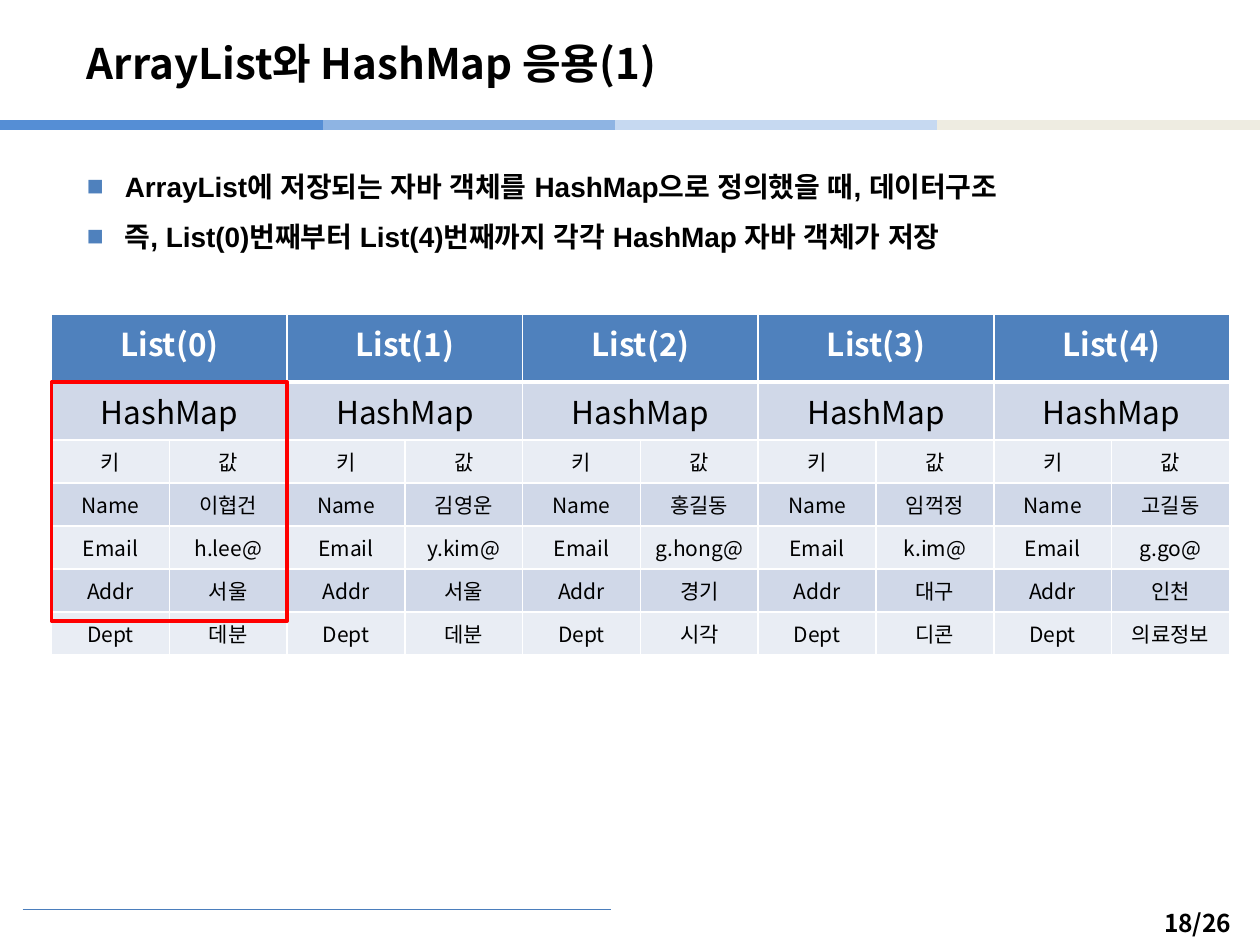
from lxml import etree
from pptx import Presentation
from pptx.dml.color import RGBColor
from pptx.enum.shapes import MSO_CONNECTOR, MSO_SHAPE
from pptx.enum.text import MSO_ANCHOR, MSO_AUTO_SIZE, PP_ALIGN
from pptx.oxml.ns import qn
from pptx.util import Pt

LINE = MSO_CONNECTOR.STRAIGHT
RECT = MSO_SHAPE.RECTANGLE
MID = MSO_ANCHOR.MIDDLE
TOP = MSO_ANCHOR.TOP
FIT = MSO_AUTO_SIZE.SHAPE_TO_FIT_TEXT
LEFT = PP_ALIGN.LEFT
MIDDLE = PP_ALIGN.CENTER

SANS = "Noto Sans CJK KR"
ARIAL = "Arial"
HEX = {
    "black": "000000", "white": "FFFFFF", "red": "FF0000",
    "head": "4F81BD", "dark": "D0D8E8", "light": "E9EDF4",
    "rule": "4B7EBC",
    "band1": "558ED5", "band2": "8EB4E3", "band3": "C6D9F1", "band4": "EEECE1",
}

TITLE = "ArrayList와 HashMap 응용(1)"
POINTS = [
    "ArrayList에 저장되는 자바 객체를 HashMap으로 정의했을 때, 데이터구조",
    "즉, List(0)번째부터 List(4)번째까지 각각 HashMap 자바 객체가 저장",
]
KEYS = ["키", "Name", "Email", "Addr", "Dept"]
MAPS = [
    ["값", "이협건", "h.lee@", "서울", "데분"],
    ["값", "김영운", "y.kim@", "서울", "데분"],
    ["값", "홍길동", "g.hong@", "경기", "시각"],
    ["값", "임꺽정", "k.im@", "대구", "디콘"],
    ["값", "고길동", "g.go@", "인천", "의료정보"],
]


def rgb(name):
    return RGBColor.from_string(HEX[name])


def style(para, size, face=SANS, color="black", bold=True):
    for run in para.runs:
        font = run.font
        font.size, font.bold, font.name = Pt(size), bold, face
        font.color.rgb = rgb(color)
        etree.SubElement(font._element, qn("a:ea"), typeface=face)


def place(shape, box):
    shape.left, shape.top, shape.width, shape.height = map(Pt, box)


def add_rule(slide, x, y, wide, color, width):
    rule = slide.shapes.add_connector(LINE, Pt(x), Pt(y), Pt(x + wide), Pt(y))
    rule.line.color.rgb = rgb(color)
    rule.line.width = Pt(width)
    etree.SubElement(rule._element.spPr, qn("a:effectLst"))


def add_band(slide, box):
    x, y, wide, high = box
    part = wide * 0.256
    for i, color in enumerate(["band4", "band3", "band2"]):
        add_rule(slide, x + wide - part * (i + 1), y, part, color, high)
    add_rule(slide, x, y, part, "band1", high)


def add_foot(slide, box):
    x, y, wide, high = box
    add_rule(slide, x, y + 4.3, 336.3, "rule", 0.75)
    page = slide.shapes.add_textbox(Pt(x + wide - 55.4), Pt(y), Pt(55.4), Pt(high))
    frame = page.text_frame
    frame.word_wrap = False
    frame.auto_size = FIT
    frame.text = "18/26"
    style(frame.paragraphs[0], 14)


def add_title(slide, box):
    title = slide.shapes.title
    place(title, box)
    frame = title.text_frame
    frame.text = TITLE
    frame.vertical_anchor = MID
    frame.paragraphs[0].alignment = LEFT
    style(frame.paragraphs[0], 24)


def add_bullet(para):
    props = para._p.get_or_add_pPr()
    props.set("marL", str(Pt(21.6)))
    props.set("indent", str(Pt(-21.6)))
    tint = etree.SubElement(props, qn("a:buClr"))
    etree.SubElement(tint, qn("a:srgbClr"), val=HEX["head"])
    etree.SubElement(props, qn("a:buFont"), typeface=ARIAL)
    etree.SubElement(props, qn("a:buChar"), char="■")


def add_list(slide, box):
    body = slide.placeholders[1]
    place(body, box)
    frame = body.text_frame
    frame.vertical_anchor = TOP
    for i, text in enumerate(POINTS):
        para = frame.add_paragraph() if i else frame.paragraphs[0]
        para.text = text
        add_bullet(para)
        para.line_spacing = 1.5
        para.space_before = Pt(0)
        style(para, 16, ARIAL)


def add_edges(cell, base):
    props = cell._tc.get_or_add_tcPr()
    for i, (side, width) in enumerate([("L", 1), ("R", 1), ("T", 1), ("B", base)]):
        edge = etree.Element(qn("a:ln" + side), w=str(Pt(width)))
        fill = etree.SubElement(edge, qn("a:solidFill"))
        etree.SubElement(fill, qn("a:srgbClr"), val=HEX["white"])
        props.insert(i, edge)


def fill_cell(cell, text, size, fill, color="black", bold=False, base=1):
    cell.fill.solid()
    cell.fill.fore_color.rgb = rgb(fill)
    add_edges(cell, base)
    para = cell.text_frame.paragraphs[0]
    para.text = text
    para.alignment = MIDDLE
    style(para, size, color=color, bold=bold)


def add_grid(slide, box):
    x, y, wide, high = box
    rows, cols = len(KEYS) + 2, len(MAPS) * 2
    grid = slide.shapes.add_table(rows, cols, *map(Pt, box)).table
    for col in grid.columns:
        col.width = Pt(wide / cols)
    heads = [38.9, 33.3]
    step = (high - sum(heads)) / len(KEYS)
    for row, tall in zip(grid.rows, heads + [step] * len(KEYS)):
        row.height = Pt(tall)
    for i, vals in enumerate(MAPS):
        a, b = i * 2, i * 2 + 1
        for r in range(2):
            grid.cell(r, a).merge(grid.cell(r, b))
        for c in (a, b):
            head = f"List({i})" if c == a else ""
            name = "HashMap" if c == a else ""
            fill_cell(grid.cell(0, c), head, 18, "head", "white", True, 3)
            fill_cell(grid.cell(1, c), name, 18, "dark")
        for r, pair in enumerate(zip(KEYS, vals)):
            fill = "dark" if r % 2 else "light"
            for c, text in zip((a, b), pair):
                fill_cell(grid.cell(r + 2, c), text, 12, fill)

    frame = slide.shapes.add_shape(
        RECT, Pt(x), Pt(y + heads[0]), Pt(wide / len(MAPS)), Pt(136.8))
    frame.shadow.inherit = False
    frame.fill.background()
    frame.line.color.rgb = rgb("red")
    frame.line.width = Pt(2)


def main():
    deck = Presentation()
    deck.slide_width, deck.slide_height = Pt(720), Pt(540)
    slide = deck.slides.add_slide(deck.slide_layouts[1])
    add_band(slide, (0, 71.3, 720, 6))
    add_foot(slide, (13, 515.5, 700.5, 24.2))
    add_title(slide, (42.5, 14.4, 595.4, 43.2))
    add_list(slide, (42.5, 83.5, 646.6, 425.5))
    add_grid(slide, (29.5, 179.3, 673.2, 195.2))
    deck.save("out.pptx")


if __name__ == "__main__":
    main()
